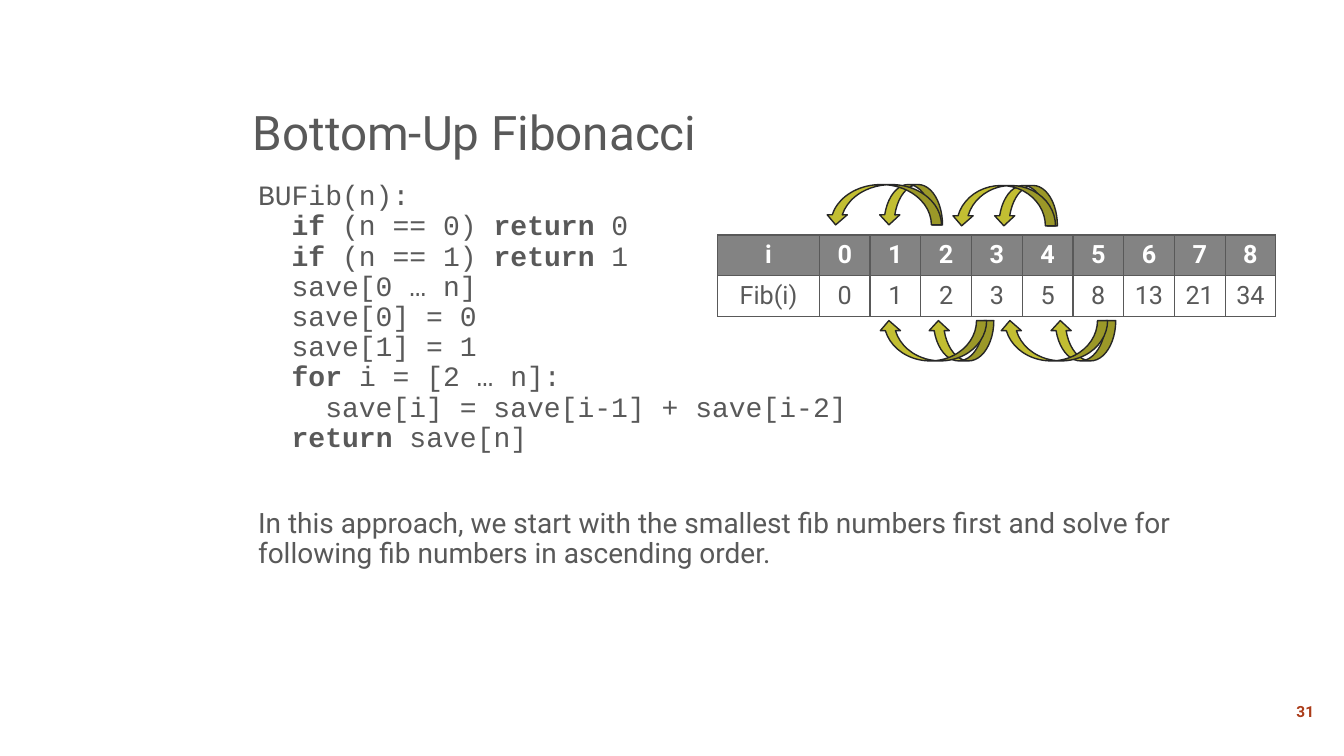
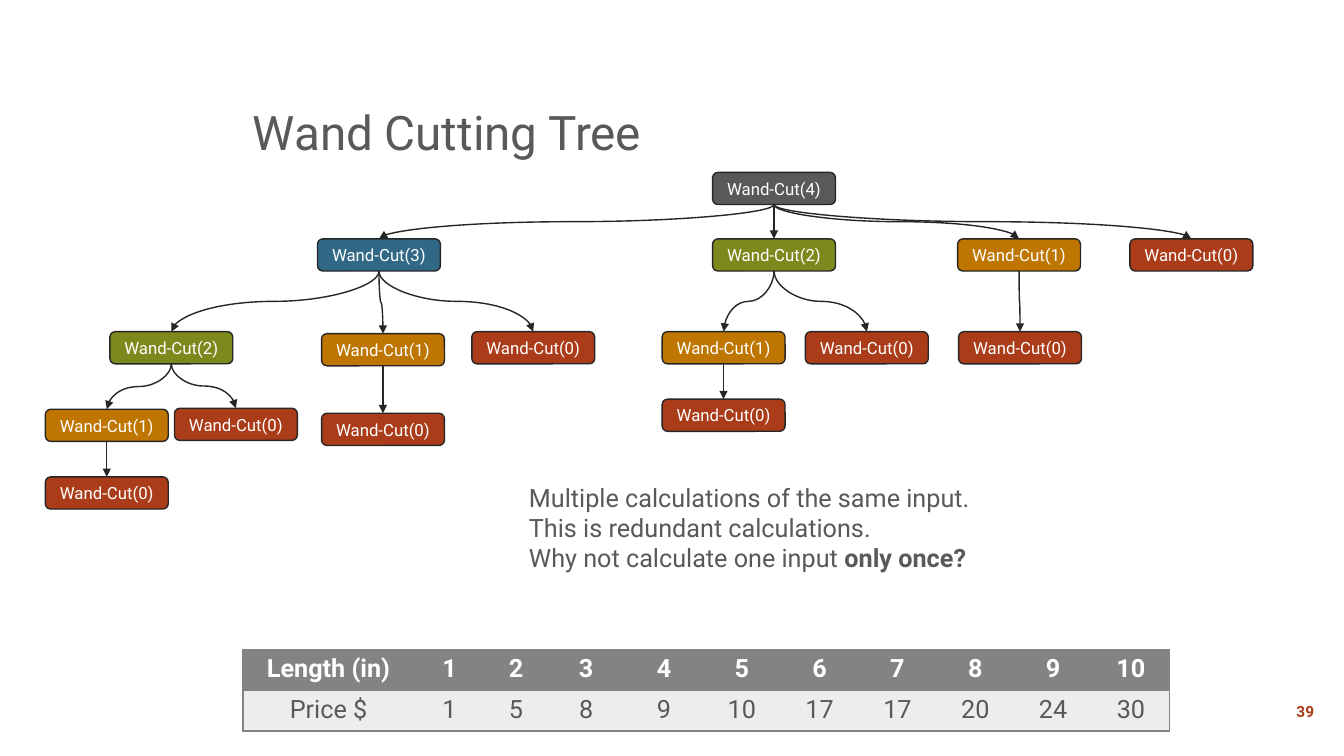
"""Build two slides on saved results: Fibonacci numbers and wand cutting."""
from dataclasses import dataclass
from typing import Any

from lxml.etree import SubElement
from pptx import Presentation
from pptx.dml.color import RGBColor
from pptx.enum.shapes import MSO_CONNECTOR, MSO_SHAPE
from pptx.enum.text import MSO_ANCHOR, PP_ALIGN
from pptx.oxml.ns import qn
from pptx.util import Pt

INK = {"text": "595959", "line": "262626", "head": "838383", "pale": "EDEDED",
       "white": "FFFFFF", "red": "AB3C19", "gold": "BE7600", "green": "7D891D",
       "blue": "316886", "arrow": "C2BE32"}
SANS, MONO = "Roboto", "Courier New"
TREE_INKS = ("red", "gold", "green", "blue", "text")
NODE_W, NODE_H = 87.8, 23
ROW_H = 29.2

CODE = """BUFib(n):
  *if* (n == 0) *return* 0
  *if* (n == 1) *return* 1
  save[0 … n]
  save[0] = 0
  save[1] = 1
  *for* i = [2 … n]:
    save[i] = save[i-1] + save[i-2]
  *return* save[n]"""
NOTE = ("In this approach, we start with the smallest fib numbers first "
        "and solve for following fib numbers in ascending order.")


@dataclass(frozen=True)
class Look:
    """Hold the format of a paragraph."""
    size: float
    ink: str = "text"
    bold: bool = False
    font: str = SANS
    align: PP_ALIGN = PP_ALIGN.LEFT
    pitch: float = 1.0
    before: float = 0


@dataclass(frozen=True)
class Grid:
    """Hold a table with its place and colours."""
    left: float
    top: float
    widths: list[float]
    rows: list[list[str]]
    fill: str
    edge: str
    inner: bool


@dataclass(frozen=True)
class Node:
    """Hold one call in the tree and the index of its caller."""
    num: int
    left: float
    top: float
    up: int | None = None


@dataclass(frozen=True)
class Hop:
    """Hold one curved arrow, above or below the table."""
    left: float
    top: float
    width: float
    above: bool


TITLE = Look(34, pitch=0.9)
PAGE = Look(11, "red", True, align=PP_ALIGN.CENTER)
HEAD = Look(18, "white", True, align=PP_ALIGN.CENTER)
CELL = Look(18, align=PP_ALIGN.CENTER)
LABEL = Look(12, "white", align=PP_ALIGN.CENTER)
LINES = Look(20, font=MONO, pitch=0.9)
PROSE = Look(20, pitch=0.9, before=40)
PLAIN = Look(18)

FIB = Grid(512.6, 167.8, [72.7] + [36.25] * 9,
           [["i", *map(str, range(9))],
            ["Fib(i)", "0", "1", "2", "3", "5", "8", "13", "21", "34"]],
           "white", "text", True)
COST = Grid(173.5, 463.7, [122.4, 50.4, 44.6] + [55.6] * 8,
            [["Length (in)", *map(str, range(1, 11))],
             ["Price $", "1", "5", "8", "9", "10", "17", "17", "20", "24", "30"]],
            "pale", "head", False)
HOPS = [
    Hop(627.8, 131.8, 45.4, True), Hop(589.7, 131.8, 82.8, True),
    Hop(709.9, 132.5, 45.4, True), Hop(679.7, 132.5, 74.2, True),
    Hop(663.1, 229, 46.8, False), Hop(627.8, 229, 77, False),
    Hop(750.2, 229, 46.8, False), Hop(714.2, 229, 77, False),
]
TREE = [
    Node(4, 509, 123.1),
    Node(3, 226.8, 170.6, 0), Node(2, 509, 170.6, 0),
    Node(1, 684, 170.6, 0), Node(0, 807.1, 170.6, 0),
    Node(2, 78.5, 236.9, 1), Node(1, 229.7, 238.3, 1), Node(0, 337, 236.9, 1),
    Node(1, 473, 236.9, 2), Node(0, 575.3, 236.9, 2), Node(0, 684.7, 236.9, 3),
    Node(1, 32.4, 292.3, 5), Node(0, 124.6, 291.6, 5), Node(0, 229.7, 295.2, 6),
    Node(0, 473, 285.1, 8), Node(0, 32.4, 340.6, 11),
]


def apply(item: Any, form: dict[str, Any]) -> None:
    """Set each named value on an item."""
    for name, value in form.items():
        setattr(item, name, value)


def tint(name: str) -> RGBColor:
    """Give the colour for a name."""
    return RGBColor.from_string(INK[name])


def write(frame: Any, parts: list[tuple[str, Look]]) -> None:
    """Write paragraphs, with bold between stars and a break at each new line."""
    for at, (text, look) in enumerate(parts):
        para = frame.add_paragraph() if at else frame.paragraphs[0]
        apply(para, {"alignment": look.align, "line_spacing": look.pitch,
                     "space_before": Pt(look.before)})
        for row, line in enumerate(text.split("\n")):
            if row:
                para.add_line_break()
            for turn, piece in enumerate(line.split("*")):
                if piece:
                    run = para.add_run()
                    run.text = piece
                    apply(run.font, {"name": look.font, "size": Pt(look.size),
                                     "bold": look.bold or turn % 2 == 1})
                    run.font.color.rgb = tint(look.ink)


def add_text(slide: Any, box: tuple[float, ...], parts: list[tuple[str, Look]],
             **form: Any) -> None:
    """Add a text box that wraps."""
    frame = slide.shapes.add_textbox(*map(Pt, box)).text_frame
    apply(frame, {"word_wrap": True, **form})
    write(frame, parts)


def add_base(deck: Any, title: str, page: int) -> Any:
    """Add a blank slide with its title and page number."""
    slide = deck.slides.add_slide(deck.slide_layouts[6])
    add_text(slide, (173.5, 23.8, 738, 94.3), [(title, TITLE)],
             vertical_anchor=MSO_ANCHOR.BOTTOM)
    add_text(slide, (911.5, 494.6, 41.8, 27.4), [(str(page), PAGE)],
             vertical_anchor=MSO_ANCHOR.MIDDLE)
    return slide


def add_edge(cell: Any, side: int, ink: str | None) -> None:
    """Draw or clear one border of a cell."""
    props = cell._tc.get_or_add_tcPr()
    line = SubElement(props, qn("a:ln" + "LRTB"[side]), w=str(Pt(1)))
    if ink:
        fill = SubElement(line, qn("a:solidFill"))
        SubElement(fill, qn("a:srgbClr"), val=INK[ink])
    else:
        SubElement(line, qn("a:noFill"))
    props.insert(side, line)


def add_grid(slide: Any, grid: Grid) -> None:
    """Add a table with a dark head row."""
    high, wide = len(grid.rows), len(grid.widths)
    table = slide.shapes.add_table(high, wide, Pt(grid.left), Pt(grid.top),
                                   Pt(sum(grid.widths)), Pt(ROW_H * high)).table
    for col, width in zip(table.columns, grid.widths):
        col.width = Pt(width)
    for r, row in enumerate(grid.rows):
        table.rows[r].height = Pt(ROW_H)
        for c, text in enumerate(row):
            cell = table.cell(r, c)
            cell.fill.solid()
            cell.fill.fore_color.rgb = tint(grid.fill if r else "head")
            write(cell.text_frame, [(text, CELL if r else HEAD)])
            shown = (grid.inner or c == 0, grid.inner or c == wide - 1, True, True)
            for side, show in enumerate(shown):
                add_edge(cell, side, grid.edge if show else None)


def add_form(slide: Any, kind: MSO_SHAPE, box: tuple[float, ...], ink: str) -> Any:
    """Add a filled shape with a thin dark line."""
    shape = slide.shapes.add_shape(kind, *map(Pt, box))
    shape.shadow.inherit = False
    shape.fill.solid()
    shape.fill.fore_color.rgb = tint(ink)
    shape.line.color.rgb = tint("line")
    shape.line.width = Pt(1)
    return shape


def add_hop(slide: Any, hop: Hop) -> None:
    """Add a curved arrow that points left."""
    shape = add_form(slide, MSO_SHAPE.CURVED_UP_ARROW,
                     (hop.left, hop.top, hop.width, 28.8), "arrow")
    if hop.above:
        shape.rotation = 180
    else:
        shape.element.spPr.find(qn("a:xfrm")).set("flipH", "1")


def add_node(slide: Any, node: Node) -> Any:
    """Add one call of the tree."""
    shape = add_form(slide, MSO_SHAPE.ROUNDED_RECTANGLE,
                     (node.left, node.top, NODE_W, NODE_H), TREE_INKS[node.num])
    shape.text_frame.vertical_anchor = MSO_ANCHOR.MIDDLE
    write(shape.text_frame, [(f"Wand-Cut({node.num})", LABEL)])
    return shape


def add_link(slide: Any, top: Any, low: Any) -> None:
    """Join two calls by a curve that leaves and lands upright."""
    x1, y1 = top.left + top.width // 2, top.top + top.height
    x2, y2 = low.left + low.width // 2, low.top
    link = slide.shapes.add_connector(MSO_CONNECTOR.CURVE, x1, y1, x2, y2)
    link.begin_connect(top, 2)
    link.end_connect(low, 0)
    wide, high = y2 - y1, abs(x2 - x1)
    apply(link, {"left": (x1 + x2 - wide) // 2, "top": (y1 + y2 - high) // 2,
                 "width": wide, "height": high})
    left = x2 < x1
    frame = link._element.spPr.find(qn("a:xfrm"))
    frame.set("rot", str((90 if left else 270) * 60000))
    frame.set("flipH", "0" if left else "1")
    link.line.color.rgb = tint("line")
    link.line.width = Pt(1)
    SubElement(link.line._get_or_add_ln(), qn("a:tailEnd"), type="triangle")
    SubElement(link._element.spPr, qn("a:effectLst"))


def build_fib(deck: Any) -> None:
    """Build the Fibonacci slide."""
    slide = add_base(deck, "Bottom-Up Fibonacci", 31)
    add_text(slide, (173.5, 126, 738, 324), [(CODE, LINES), (NOTE, PROSE)],
             margin_left=Pt(10.8))
    add_grid(slide, FIB)
    for hop in HOPS:
        add_hop(slide, hop)


def build_tree(deck: Any) -> None:
    """Build the wand cutting slide."""
    slide = add_base(deck, "Wand Cutting Tree", 39)
    add_grid(slide, COST)
    shapes = [add_node(slide, node) for node in TREE]
    for node, shape in zip(TREE, shapes):
        if node.up is not None:
            add_link(slide, shapes[node.up], shape)
    add_text(slide, (370.8, 340.6, 347.8, 72.7), [
        ("Multiple calculations of the same input. "
         "This is redundant calculations.", PLAIN),
        ("Why not calculate one input *only once?*", PLAIN)])


def main() -> None:
    """Build and save the deck."""
    deck = Presentation()
    apply(deck, {"slide_width": Pt(960), "slide_height": Pt(540)})
    build_fib(deck)
    build_tree(deck)
    deck.save("out.pptx")


if __name__ == "__main__":
    main()
